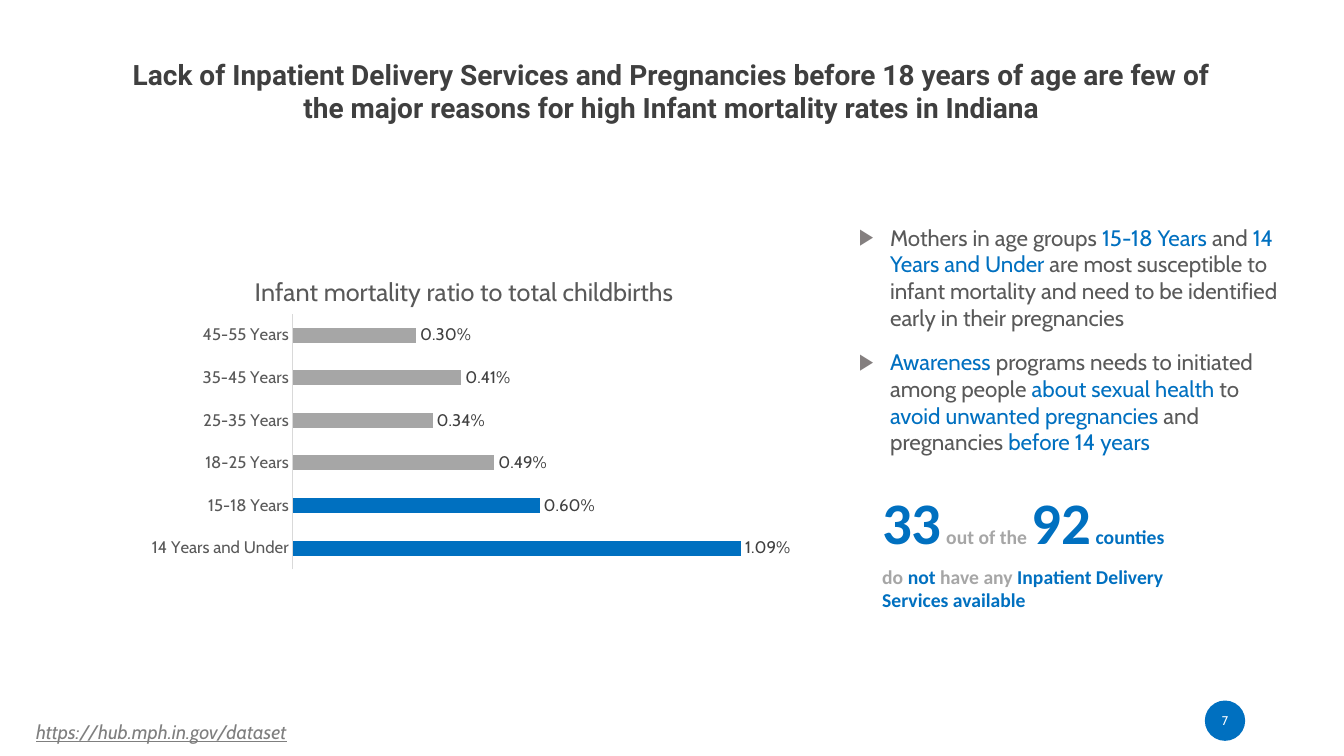
import pptx
import pptx.chart.data
import pptx.dml.color
import pptx.enum.chart
import pptx.enum.shapes
import pptx.enum.text
import pptx.oxml
import pptx.oxml.ns
import pptx.util

PX = 9144  # EMU per px, 100 px to the inch
BLUE, GRAY, TEXT = "0070C0", "A6A6A6", "595959"

MORTALITY = {
    "14 Years and Under": 0.0109,
    "15-18 Years": 0.006,
    "18-25 Years": 0.0049,
    "25-35 Years": 0.0034,
    "35-45 Years": 0.0041,
    "45-55 Years": 0.003,
}
AT_RISK = ("14 Years and Under", "15-18 Years")

FINDINGS = [
    [("Mothers in age groups ", TEXT), ("15-18 Years", BLUE), (" and ", TEXT),
     ("14 Years and Under", BLUE),
     (" are most susceptible to infant mortality and need to be identified "
      "early in their pregnancies", TEXT)],
    [("Awareness", BLUE), (" programs needs to initiated among people ", TEXT),
     ("about sexual health ", BLUE), ("to ", TEXT),
     ("avoid unwanted pregnancies ", BLUE), ("and pregnancies ", TEXT),
     ("before 14 years", BLUE)],
]


def px(*lengths):
    return [pptx.util.Emu(length * PX) for length in lengths]


def rgb(value):
    return pptx.dml.color.RGBColor.from_string(value)


def style(font, name, size, color, bold=False, italic=False, underline=False):
    font.name = name
    font.size = pptx.util.Pt(size)
    font.color.rgb = rgb(color)
    font.bold, font.italic, font.underline = bold, italic, underline


def add_run(paragraph, text, *look, **effects):
    run = paragraph.add_run()
    run.text = text
    style(run.font, *look, **effects)


def set_frame(frame, insets, anchor=pptx.enum.text.MSO_ANCHOR.TOP, wrap=True):
    frame.word_wrap = wrap
    frame.auto_size = pptx.enum.text.MSO_AUTO_SIZE.NONE
    frame.vertical_anchor = anchor
    (frame.margin_left, frame.margin_top,
     frame.margin_right, frame.margin_bottom) = px(*insets)


def add_text(slide, box, insets=(10, 5, 10, 5), wrap=True):
    frame = slide.shapes.add_textbox(*px(*box)).text_frame
    set_frame(frame, insets, wrap=wrap)
    return frame


def add_bullet(paragraph):
    properties = paragraph._p.get_or_add_pPr()
    properties.set("marL", str(31 * PX))
    properties.set("indent", str(-31 * PX))
    ns = pptx.oxml.ns.nsdecls("a")
    for xml in (f'<a:buClr {ns}><a:srgbClr val="847F7F"/></a:buClr>',
                f'<a:buFont {ns} typeface="Arial"/>',
                f'<a:buChar {ns} char="▶"/>'):
        properties.append(pptx.oxml.parse_xml(xml))


def place(element, before, target=None, **fractions):
    """Give a chart part a fixed place, as fractions of the chart."""
    for old in element.findall(pptx.oxml.ns.qn("c:layout")):
        element.remove(old)
    inner = f'<c:layoutTarget val="{target}"/>' if target else ""
    modes = "".join(f'<c:{key}Mode val="edge"/>' for key in "xy")
    sizes = "".join(f'<c:{key} val="{value}"/>' for key, value in fractions.items())
    layout = pptx.oxml.parse_xml(
        f'<c:layout {pptx.oxml.ns.nsdecls("c")}><c:manualLayout>'
        f'{inner}{modes}{sizes}</c:manualLayout></c:layout>')
    element.find(pptx.oxml.ns.qn(before)).addprevious(layout)


def add_headline(slide):
    title = slide.shapes.title
    title.left, title.top, title.width, title.height = px(118, 62, 1096, 56)
    set_frame(title.text_frame, (0, 0, 0, 0), pptx.enum.text.MSO_ANCHOR.MIDDLE)
    paragraph = title.text_frame.paragraphs[0]
    paragraph.alignment = pptx.enum.text.PP_ALIGN.CENTER
    add_run(paragraph, "Lack of Inpatient Delivery Services and Pregnancies before "
            "18 years of age are few of the major reasons for high Infant mortality "
            "rates in Indiana", "Roboto", 20, "3F3F3F", bold=True)


def add_mortality_chart(slide):
    data = pptx.chart.data.CategoryChartData(number_format="0.00%")
    data.categories = list(MORTALITY)
    data.add_series("Series 1", list(MORTALITY.values()))
    chart = slide.shapes.add_chart(
        pptx.enum.chart.XL_CHART_TYPE.BAR_CLUSTERED, *px(137, 252, 653, 321), data).chart
    chart.has_legend = False
    style(chart.font, "Cabin", 10, "000000")

    # Chart title
    chart.has_title = True
    add_run(chart.chart_title.text_frame.paragraphs[0],
            "Infant mortality ratio to total childbirths", "Cabin", 18, TEXT)
    chart.chart_title.include_in_layout = False
    place(chart.chart_title._element, "c:overlay", x=0.17, y=0.05)

    # Axes
    ages, ratio = chart.category_axis, chart.value_axis
    ages.major_tick_mark = pptx.enum.chart.XL_TICK_MARK.NONE
    ages.format.line.color.rgb = rgb("D9D9D9")
    ages.format.line.width = pptx.util.Pt(0.75)
    style(ages.tick_labels.font, "Cabin", 12, TEXT)
    ratio.has_major_gridlines = False
    ratio.visible = False
    ratio.minimum_scale, ratio.maximum_scale = 0, 0.012
    place(chart._chartSpace.chart.plotArea, "c:barChart", "inner",
          x=0.235, y=0.185, w=0.75, h=0.79)

    # Bars and their labels
    plot = chart.plots[0]
    plot.gap_width = 182
    plot.vary_by_categories = False
    bars = plot.series[0]
    bars.format.fill.solid()
    bars.format.fill.fore_color.rgb = rgb(GRAY)
    for index, age in enumerate(MORTALITY):
        fill = bars.points[index].format.fill
        fill.solid()
        fill.fore_color.rgb = rgb(BLUE if age in AT_RISK else GRAY)
    labels = bars.data_labels
    labels.show_value = True
    labels.number_format = "0.00%"
    labels.number_format_is_linked = False
    labels.position = pptx.enum.chart.XL_LABEL_POSITION.OUTSIDE_END
    style(labels.font, "Cabin", 12, "404040")


def add_findings(slide):
    frame = add_text(slide, (842, 217, 445, 242))
    for index, finding in enumerate(FINDINGS):
        paragraph = frame.add_paragraph() if index else frame.paragraphs[0]
        add_bullet(paragraph)
        paragraph.space_after = pptx.util.Pt(12)
        for text, color in finding:
            add_run(paragraph, text, "Cabin", 16, color)


def add_callout(slide, box, runs, wrap=True):
    paragraph = add_text(slide, box, (0, 0, 0, 0), wrap).paragraphs[0]
    for text, size, color in runs:
        add_run(paragraph, text, "Calibri", size, color, bold=True)


def add_page_badge(slide):
    badge = slide.shapes.add_shape(
        pptx.enum.shapes.MSO_SHAPE.FLOWCHART_CONNECTOR, *px(1195, 695, 40, 40))
    badge.shadow.inherit = False
    badge.fill.solid()
    badge.fill.fore_color.rgb = rgb(BLUE)
    badge.line.fill.background()
    set_frame(badge.text_frame, (0, 5, 0, 5), pptx.enum.text.MSO_ANCHOR.MIDDLE)
    paragraph = badge.text_frame.paragraphs[0]
    paragraph.alignment = pptx.enum.text.PP_ALIGN.CENTER
    add_run(paragraph, "7", "Cabin", 9, "FFFFFF")


def main():
    deck = pptx.Presentation()
    deck.slide_width, deck.slide_height = px(1333, 750)
    slide = deck.slides.add_slide(deck.slide_layouts[5])

    add_headline(slide)
    add_mortality_chart(slide)
    add_findings(slide)

    # County figures
    add_callout(slide, (875, 482, 306, 82),
                [("33", 42, BLUE), (" out of the ", 14, GRAY),
                 ("92", 42, BLUE), (" counties", 14, BLUE)], wrap=False)
    add_callout(slide, (875, 560, 306, 55),
                [("do ", 14, GRAY), ("not", 14, BLUE), (" have any ", 14, GRAY),
                 ("Inpatient Delivery Services available", 14, BLUE)])

    # Footer
    add_page_badge(slide)
    address = add_text(slide, (26, 709, 482, 34)).paragraphs[0]
    add_run(address, "https://hub.mph.in.gov/dataset", "Cabin", 14, "7F7F7F",
            italic=True, underline=True)
    deck.save("out.pptx")


if __name__ == "__main__":
    main()
